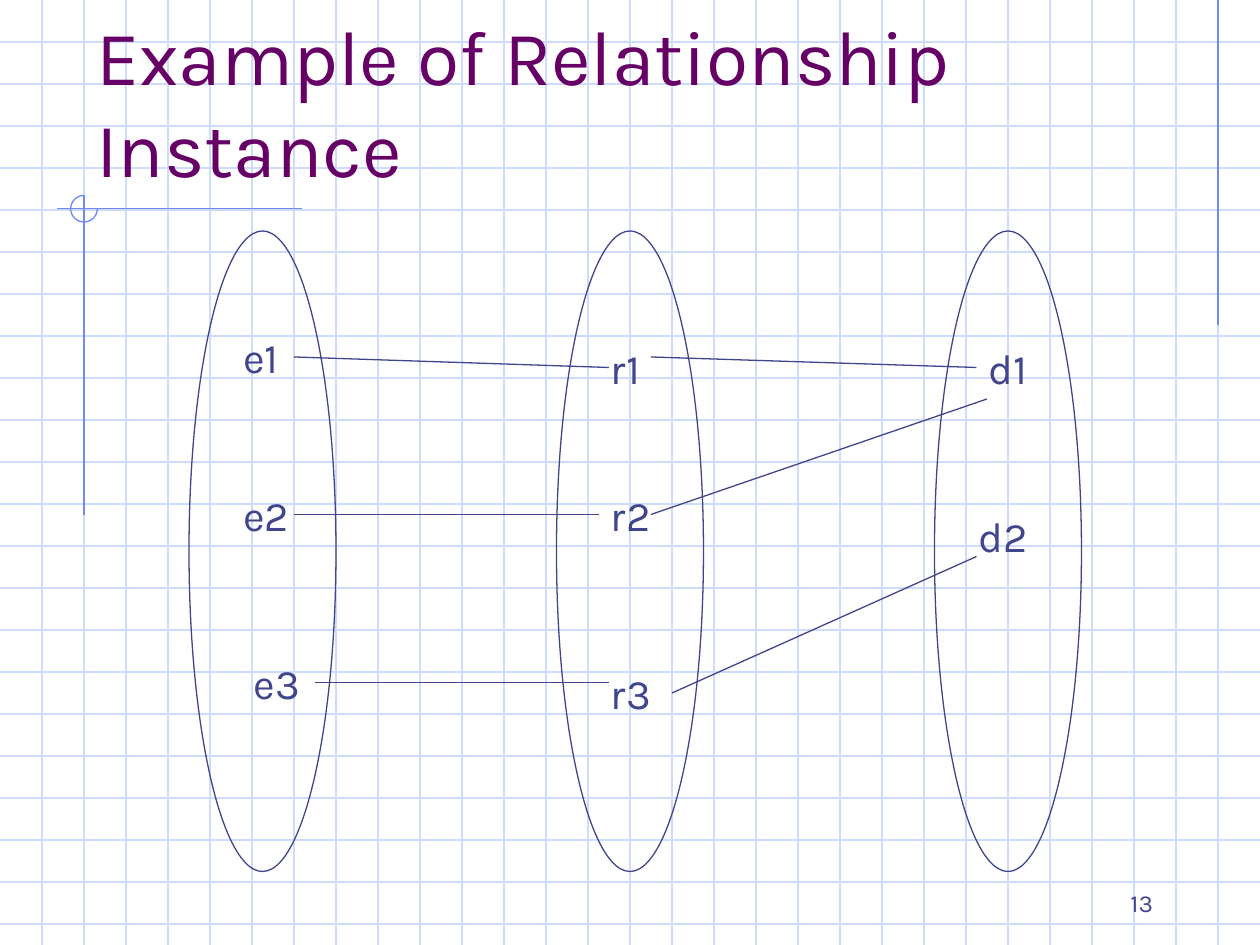
from dataclasses import dataclass

from pptx import Presentation
from pptx.dml.color import RGBColor as RGB
from pptx.enum.shapes import MSO_CONNECTOR as CONN, MSO_SHAPE as SHAPE
from pptx.enum.text import MSO_ANCHOR as ANCHOR, MSO_AUTO_SIZE as FIT, PP_ALIGN as ALIGN
from pptx.oxml.ns import qn
from pptx.util import Cm, Pt


@dataclass(frozen=True)
class Theme:
    """Colours, font and sizes of the deck."""
    font: str = "Karla"
    ink: RGB = RGB(0x40, 0x45, 0x8C)
    title: RGB = RGB(0x66, 0x00, 0x66)
    grid: RGB = RGB(0xCF, 0xDB, 0xFD)
    accent: RGB = RGB(0x6F, 0x89, 0xF7)
    title_size: int = 44
    label_size: int = 24
    number_size: int = 14
    label_gap: int = 15
    stroke: float = 0.75


THEME = Theme()
WIDTH, HEIGHT = 120, 90
GRID_STEP = 4
SET_WIDTH, SET_HEIGHT, LABEL_HEIGHT = 14, 61, 6
SET_LEFTS = (0, 35, 71)
MEMBERS = (
    ("e1", 4, 9, 9), ("e2", 4, 24, 10), ("e3", 5, 40, 8),
    ("r1", 39, 10, 7), ("r2", 39, 24, 7), ("r3", 39, 41, 8),
    ("d1", 75, 10, 9), ("d2", 74, 26, 10),
)
LINKS = (
    (10, 12, 40, 13), (44, 12, 75, 13), (10, 27, 39, 27),
    (44, 27, 76, 16), (12, 43, 40, 43), (46, 44, 75, 31),
)


def units(n):
    """Convert layout units, 120 across the slide, to a length."""
    return Cm(n * 25.4 / WIDTH)


def add_line(slide, x1, y1, x2, y2, color):
    """Draw a thin straight line without a shadow."""
    s = slide.shapes.add_connector(CONN.STRAIGHT, *map(units, (x1, y1, x2, y2)))
    s.line.color.rgb = color
    s.line.width = Pt(THEME.stroke)
    sp_pr = s._element.spPr
    sp_pr.append(sp_pr.makeelement(qn("a:effectLst"), {}))


def add_outline(slide, kind, x, y, w, h, color):
    """Draw an unfilled preset shape and return it."""
    s = slide.shapes.add_shape(kind, *map(units, (x, y, w, h)))
    s.shadow.inherit = False
    s.fill.background()
    s.line.color.rgb = color
    s.line.width = Pt(THEME.stroke)
    return s


def add_text(slide, text, box, size, color=THEME.ink, align=ALIGN.LEFT,
             anchor=ANCHOR.TOP, before=0, fit=FIT.NONE):
    """Write one paragraph in a wrapping text box."""
    tf = slide.shapes.add_textbox(*map(units, box)).text_frame
    tf.word_wrap = True
    tf.auto_size = fit
    tf.vertical_anchor = anchor
    p = tf.paragraphs[0]
    p.alignment = align
    p.space_before = Pt(before)
    r = p.add_run()
    r.text = text
    r.font.name = THEME.font
    r.font.size = Pt(size)
    r.font.color.rgb = color


def add_grid(slide, x, y, w, h):
    """Rule the box like squared paper."""
    for dy in range(GRID_STEP, h, GRID_STEP):
        add_line(slide, x, y + dy, x + w, y + dy, THEME.grid)
    for dx in range(GRID_STEP, w, GRID_STEP):
        add_line(slide, x + dx, y, x + dx, y + h, THEME.grid)


def add_ornament(slide, x, y, w, h):
    """Draw the corner cross with its arc and the right-hand rule."""
    cx, cy, radius = x + 8, y + 19.88, 1.27
    add_line(slide, x + w - 4, y, x + w - 4, y + 31, THEME.accent)
    add_line(slide, cx + 20.8, cy, cx - 2.6, cy, THEME.accent)
    add_line(slide, cx, cy - radius, cx, cy + 29.2, THEME.accent)
    arc = add_outline(slide, SHAPE.ARC, cx - radius, cy - radius,
                      2 * radius, 2 * radius, THEME.accent)
    arc.adjustments[0] = 0
    arc.adjustments[1] = 162


def add_diagram(slide, x, y):
    """Draw the three sets, their members and the links between them."""
    for dx in SET_LEFTS:
        add_outline(slide, SHAPE.OVAL, x + dx, y, SET_WIDTH, SET_HEIGHT, THEME.ink)
    for name, dx, dy, w in MEMBERS:
        add_text(slide, name, (x + dx, y + dy, w, LABEL_HEIGHT), THEME.label_size,
                 before=THEME.label_gap, fit=FIT.SHAPE_TO_FIT_TEXT)
    for x1, y1, x2, y2 in LINKS:
        add_line(slide, x + x1, y + y1, x + x2, y + y2, THEME.ink)


def main():
    """Build and save the slide."""
    prs = Presentation()
    prs.slide_width, prs.slide_height = units(WIDTH), units(HEIGHT)
    slide = prs.slides.add_slide(prs.slide_layouts[6])
    add_grid(slide, 0, 0, WIDTH, HEIGHT)
    add_ornament(slide, 0, 0, WIDTH, HEIGHT)
    add_text(slide, "13", (86, 82, 25, 6), THEME.number_size,
             align=ALIGN.RIGHT, anchor=ANCHOR.BOTTOM)
    add_diagram(slide, 18, 22)
    add_text(slide, "Example of Relationship Instance", (8, 4, 102, 15),
             THEME.title_size, color=THEME.title, anchor=ANCHOR.BOTTOM)
    prs.save("out.pptx")


if __name__ == "__main__":
    main()
